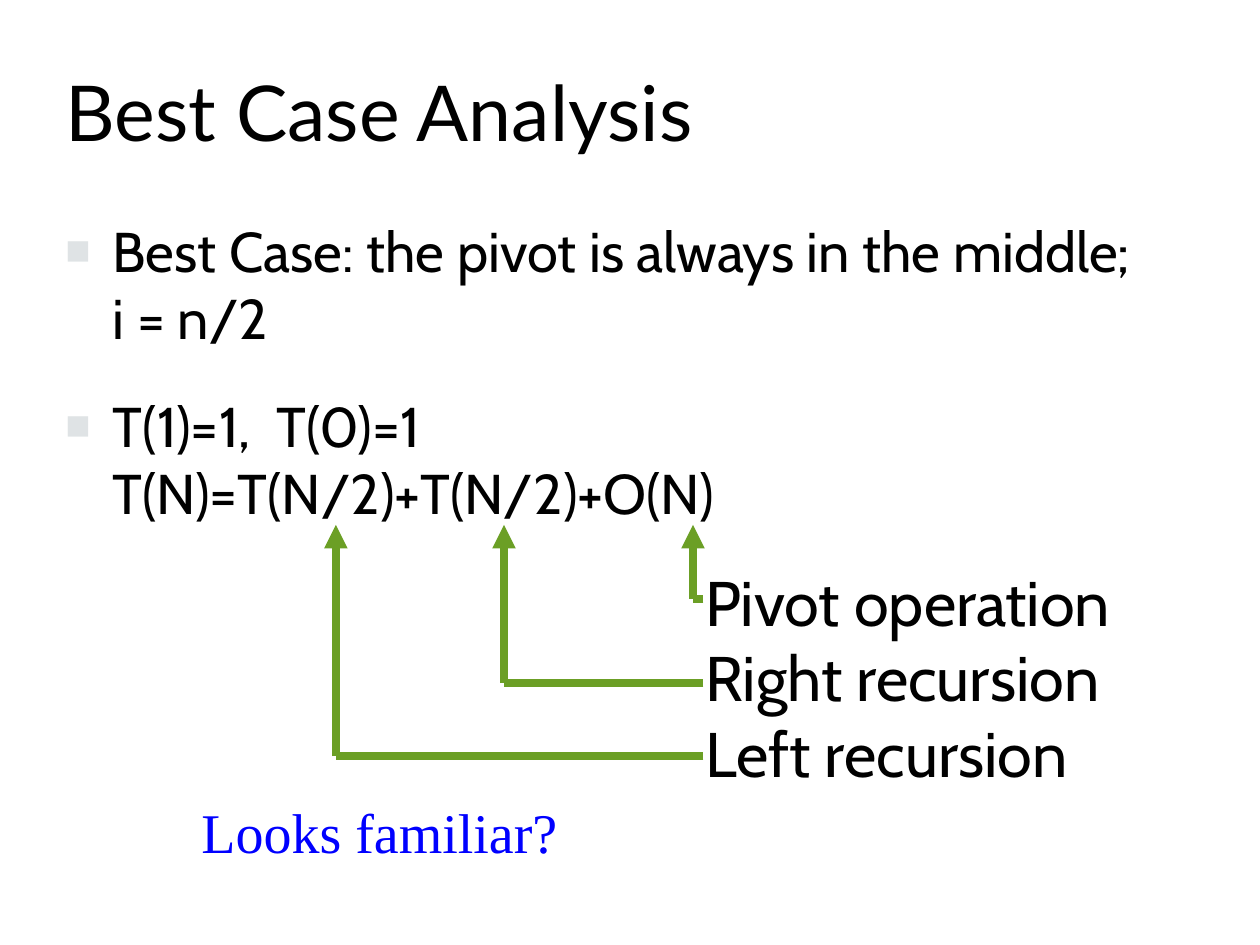
"""Build the "Best Case Analysis" slide on the quicksort recurrence."""
import pptx
import pptx.dml.color
import pptx.enum.shapes
import pptx.enum.text
import pptx.oxml
import pptx.oxml.ns
import pptx.util

Cm = pptx.util.Cm
Pt = pptx.util.Pt
BLACK = pptx.dml.color.RGBColor(0x00, 0x00, 0x00)
BLUE = pptx.dml.color.RGBColor(0x00, 0x00, 0xFF)
GREEN = pptx.dml.color.RGBColor(0x6B, 0x9F, 0x25)
BULLET = pptx.dml.color.RGBColor(0xDF, 0xE3, 0xE5)
NS = pptx.oxml.ns.nsdecls("a")


def write(tf, text, font="Cabin", size=32, color=BLACK, before=0, bullet=False):
    p = tf.paragraphs[0] if not tf.text else tf.add_paragraph()
    p.alignment = pptx.enum.text.PP_ALIGN.LEFT
    p.space_before = Pt(before)
    for i, line in enumerate(text.split("\n")):
        if i:
            p.add_line_break()
        r = p.add_run()
        r.text = line
        r.font.name = font
        r.font.size = Pt(size)
        r.font.color.rgb = color
    if bullet:
        pPr = p._p.get_or_add_pPr()
        pPr.set("marL", str(Cm(0.95)))
        pPr.set("indent", str(-Cm(0.95)))
        for xml in (
            f'<a:buClr {NS}><a:srgbClr val="{BULLET}"/></a:buClr>',
            f'<a:buSzPct {NS} val="75000"/>',
            f'<a:buFont {NS} typeface="Arial"/>',
            f'<a:buChar {NS} char="■"/>',
        ):
            pPr.append(pptx.oxml.parse_xml(xml))


def add_box(left, top, width, height):
    tf = s.shapes.add_textbox(Cm(left), Cm(top), Cm(width), Cm(height)).text_frame
    tf.word_wrap = True
    return tf


prs = pptx.Presentation()
prs.slide_width = Cm(25.4)
prs.slide_height = Cm(19.05)
s = prs.slides.add_slide(prs.slide_layouts[5])

sp = s.shapes.title
sp.left, sp.top, sp.width, sp.height = Cm(1.07), Cm(0.64), Cm(21.59), Cm(3.18)
tf = sp.text_frame
tf.auto_size = pptx.enum.text.MSO_AUTO_SIZE.NONE
tf.vertical_anchor = pptx.enum.text.MSO_ANCHOR.MIDDLE
write(tf, "Best Case Analysis", font="Lato", size=44)

tf = add_box(1.07, 4.24, 22.23, 13.77)
write(tf, "Best Case: the pivot is always in the middle; i = n/2", bullet=True)
write(tf, "T(1)=1,  T(0)=1\nT(N)=T(N/2)+T(N/2)+O(N)", before=23, bullet=True)

label_x, tip_y = 14.18, 10.58
for x, y in ((13.97, 12.07), (10.16, 13.76), (6.77, 15.24)):
    for start, end, head in (
        ((label_x, y), (x, y), False),
        ((x, y), (x, tip_y), True),
    ):
        sp = s.shapes.add_connector(
            pptx.enum.shapes.MSO_CONNECTOR.STRAIGHT,
            *(Cm(v) for v in start + end),
        )
        sp.line.color.rgb = GREEN
        sp.line.width = Pt(4.5)
        if head:
            sp.line._get_or_add_ln().append(
                pptx.oxml.parse_xml(f'<a:tailEnd {NS} type="triangle"/>')
            )
        sp._element.spPr.append(pptx.oxml.parse_xml(f"<a:effectLst {NS}/>"))

tf = add_box(13.97, 11.23, 9.32, 4.83)
for label in ("Pivot operation", "Right recursion", "Left recursion"):
    write(tf, label, size=36)

tf = add_box(3.81, 15.95, 9.32, 1.6)
write(tf, "Looks familiar?", font="Times New Roman", color=BLUE)

prs.save("out.pptx")
